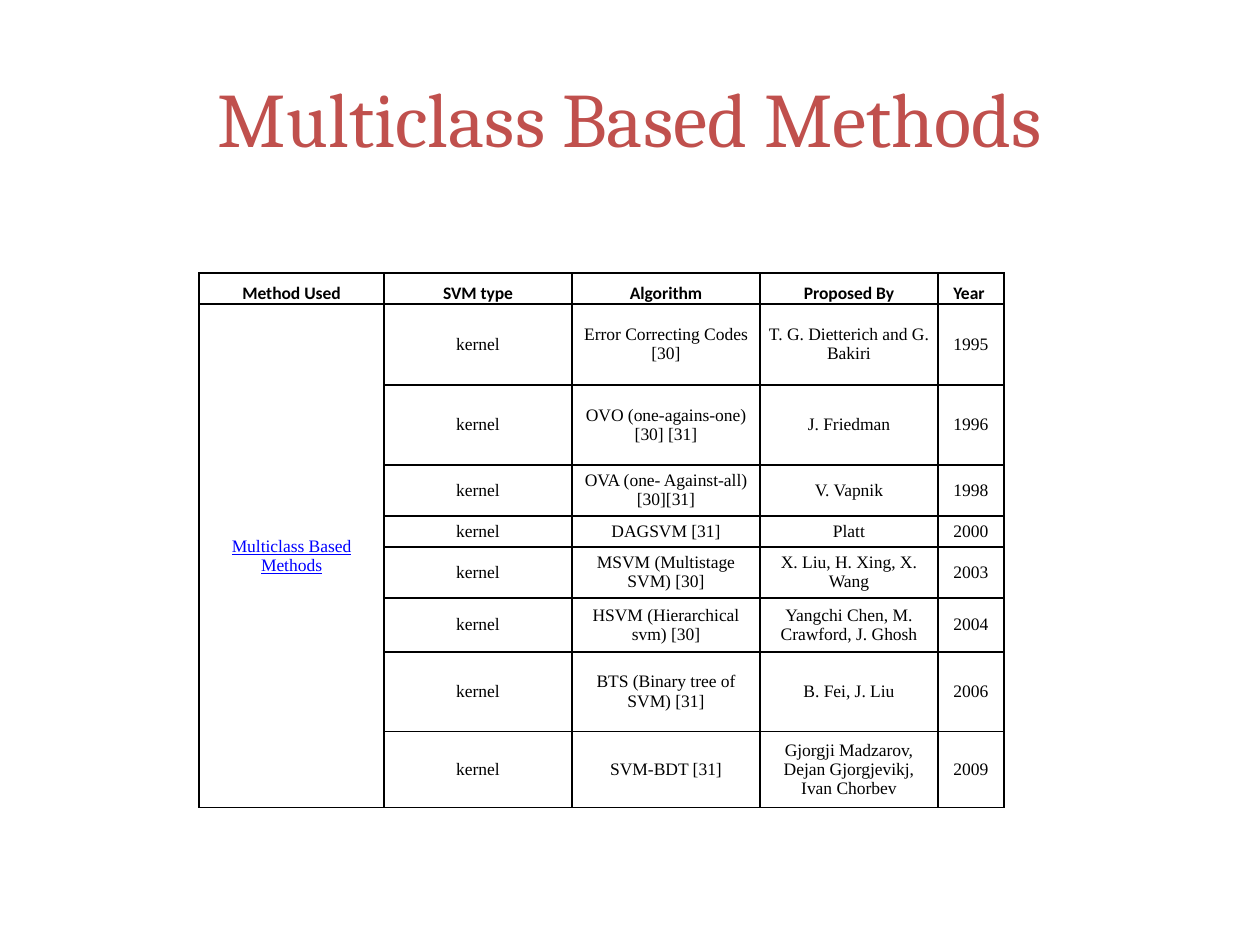
"""Build a slide with a table of multiclass SVM methods."""
from lxml.etree import SubElement
from pptx import Presentation
from pptx.dml.color import RGBColor
from pptx.enum.text import MSO_ANCHOR as Anchor, PP_ALIGN as Align
from pptx.oxml.ns import qn
from pptx.util import Emu, Pt

PX = 914400 / 126


def px(length):
    return Emu(round(length * PX))


def style(paragraph, font_name, size, color, bold=False, underline=False):
    paragraph.alignment = Align.CENTER
    for run in paragraph.runs:
        font = run.font
        font.name, font.size = font_name, Pt(size)
        font.bold, font.underline = bold, underline
        font.color.rgb = RGBColor.from_string(color)


HEADINGS = ["Method Used", "SVM type", "Algorithm", "Proposed By", "Year "]
METHODS = [
    ("Error Correcting Codes [30]", "T. G. Dietterich and G. Bakiri", "1995"),
    ("OVO (one-agains-one) [30] [31]", "J. Friedman", "1996"),
    ("OVA (one- Against-all) [30][31]", "V. Vapnik", "1998"),
    ("DAGSVM [31]", "Platt", "2000"),
    ("MSVM (Multistage SVM) [30]", "X. Liu, H. Xing, X. Wang", "2003"),
    ("HSVM (Hierarchical svm) [30]", "Yangchi Chen, M. Crawford, J. Ghosh", "2004"),
    ("BTS (Binary tree of SVM) [31]", "B. Fei, J. Liu", "2006"),
    ("SVM-BDT [31]", "Gjorgji Madzarov, Dejan Gjorgjevikj, Ivan Chorbev", "2009"),
]
COLUMN_WIDTHS = [185, 188, 188, 178, 66]
ROW_HEIGHTS = [31, 81, 80, 51, 31, 51, 54, 80, 76]

deck = Presentation()
deck.slide_width, deck.slide_height = px(1260), px(945)
slide = deck.slides.add_slide(deck.slide_layouts[5])

heading = slide.shapes.title
heading.left, heading.top, heading.width, heading.height = map(px, (63, 38, 1134, 158))
heading.text_frame.text = "Multiclass Based Methods"
heading.text_frame.vertical_anchor = Anchor.MIDDLE
style(heading.text_frame.paragraphs[0], "Cambria", 44, "C0504D")

methods = slide.shapes.add_table(
    len(ROW_HEIGHTS), len(COLUMN_WIDTHS), px(199), px(273),
    px(sum(COLUMN_WIDTHS)), px(sum(ROW_HEIGHTS))).table
for column, width in zip(methods.columns, COLUMN_WIDTHS):
    column.width = px(width)
for row, height in zip(methods.rows, ROW_HEIGHTS):
    row.height = px(height)
methods.cell(1, 0).merge(methods.cell(len(METHODS), 0))

entries = [HEADINGS] + [("", "kernel", *method) for method in METHODS]
entries[1] = ("Multiclass Based Methods", *entries[1][1:])
for r, entry in enumerate(entries):
    for c, wording in enumerate(entry):
        cell = methods.cell(r, c)
        is_header = r == 0
        cell.margin_left = cell.margin_right = px(4 if is_header else 9)
        cell.margin_top = cell.margin_bottom = 0
        cell.vertical_anchor = Anchor.BOTTOM if is_header else Anchor.MIDDLE
        for side in ("lnL", "lnR", "lnT", "lnB"):
            border = SubElement(cell._tc.get_or_add_tcPr(), qn(f"a:{side}"), w=str(Pt(1)))
            SubElement(SubElement(border, qn("a:solidFill")), qn("a:srgbClr"), val="000000")
        cell.fill.background()
        if wording:
            is_category = c == 0 and not is_header
            cell.text_frame.text = wording
            style(cell.text_frame.paragraphs[0],
                  "Calibri" if is_header else "Times New Roman", 10,
                  "0000FF" if is_category else "000000",
                  bold=is_header, underline=is_category)

deck.save("out.pptx")
